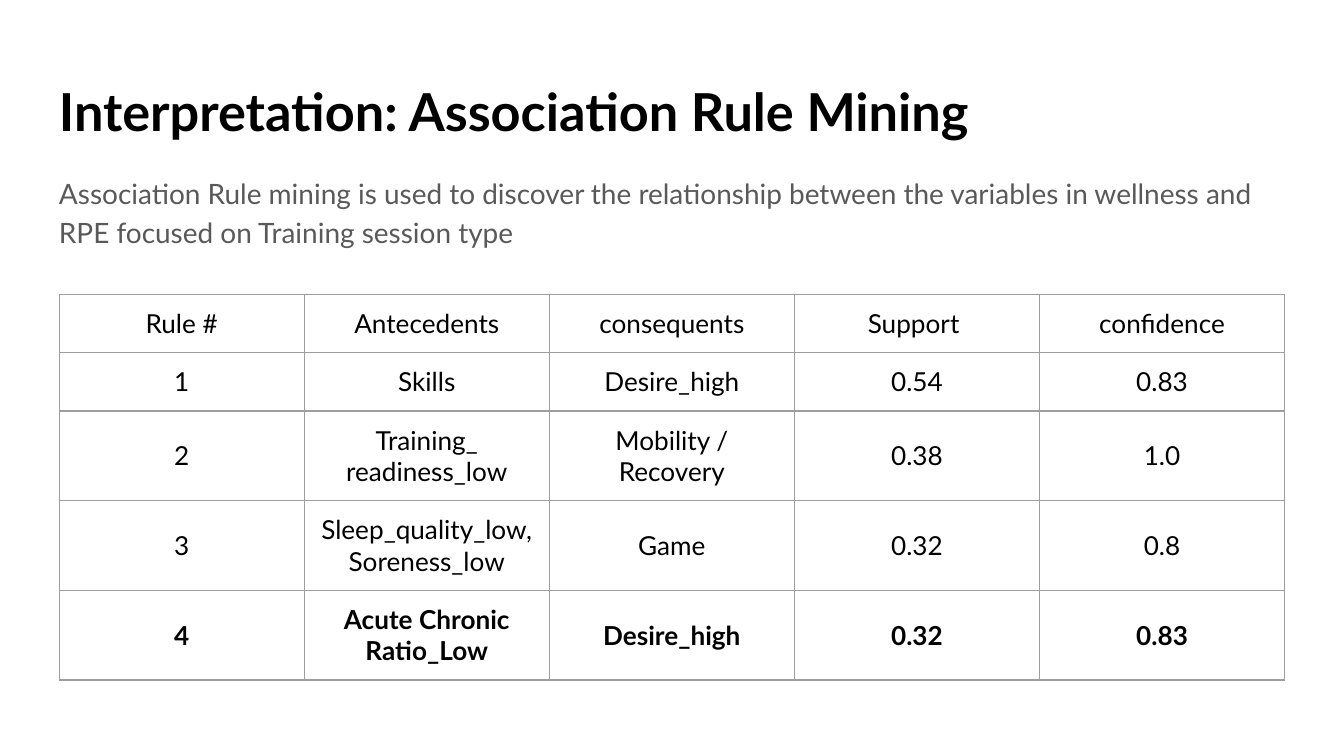
from lxml import etree
from pptx import Presentation
from pptx import util as u
from pptx.dml.color import RGBColor
from pptx.enum import text
from pptx.oxml import ns

BLACK = RGBColor(0x00, 0x00, 0x00)
GRAY = RGBColor(0x59, 0x59, 0x59)
BORDER = RGBColor(0x9E, 0x9E, 0x9E)
FONT = "Lato"
MARGIN = u.Inches(0.1)
SLIDE_WIDTH = 10
SLIDE_HEIGHT = SLIDE_WIDTH * 9 / 16

RULES = [
    ["Rule #", "Antecedents", "consequents", "Support ", "confidence"],
    ["1", "Skills", "Desire_high", "0.54", "0.83"],
    ["2", "Training_\nreadiness_low", "Mobility / Recovery", "0.38", "1.0"],
    ["3", "Sleep_quality_low,\nSoreness_low", "Game", "0.32", "0.8"],
    ["4", "Acute Chronic\nRatio_Low", "Desire_high", "0.32", "0.83"],
]
HIGHLIGHTED_RULE = "4"


def write_text(frame, content, size, color=BLACK, bold=False,
               align=text.PP_ALIGN.LEFT, line_spacing=1.0, space_after=0):
    frame.word_wrap = True
    frame.text = content
    for paragraph in frame.paragraphs:
        paragraph.alignment = align
        paragraph.line_spacing = line_spacing
        paragraph.space_after = u.Pt(space_after)
        for run in paragraph.runs:
            run.font.name = FONT
            run.font.size = u.Pt(size)
            run.font.bold = bold
            run.font.color.rgb = color


def set_margins(target):
    target.margin_left = target.margin_right = MARGIN
    target.margin_top = target.margin_bottom = MARGIN


def add_text_box(slide, content, left, top, width, height, **text_format):
    shape = slide.shapes.add_textbox(
        u.Inches(left), u.Inches(top), u.Inches(width), u.Inches(height))
    set_margins(shape.text_frame)
    write_text(shape.text_frame, content, **text_format)


def add_borders(cell):
    properties = cell._tc.get_or_add_tcPr()
    for side in ("a:lnL", "a:lnR", "a:lnT", "a:lnB"):
        line = etree.SubElement(properties, ns.qn(side), w=str(u.Pt(0.75)))
        fill = etree.SubElement(line, ns.qn("a:solidFill"))
        etree.SubElement(fill, ns.qn("a:srgbClr"), val=str(BORDER))


def add_rule_table(slide, rows, left, top, width, row_height):
    column_count = len(rows[0])
    table = slide.shapes.add_table(
        len(rows), column_count, u.Inches(left), u.Inches(top),
        u.Inches(width), u.Inches(row_height * len(rows))).table
    table.first_row = False
    table.horz_banding = False
    for column in table.columns:
        column.width = u.Inches(width / column_count)
    for row, values in zip(table.rows, rows):
        row.height = u.Inches(row_height)
        for cell, value in zip(row.cells, values):
            add_borders(cell)
            cell.fill.background()
            set_margins(cell)
            cell.vertical_anchor = text.MSO_ANCHOR.MIDDLE
            write_text(cell.text_frame, value, size=14,
                       bold=values[0] == HIGHLIGHTED_RULE,
                       align=text.PP_ALIGN.CENTER)


def main():
    presentation = Presentation()
    presentation.slide_width = u.Inches(SLIDE_WIDTH)
    presentation.slide_height = u.Inches(SLIDE_HEIGHT)
    slide = presentation.slides.add_slide(presentation.slide_layouts[6])
    add_text_box(slide, "Interpretation: Association Rule Mining",
                 0.34, 0.49, 9.32, 0.63, size=28, bold=True)
    add_text_box(slide, "Association Rule mining is used to discover the "
                 "relationship between the variables in wellness and RPE "
                 "focused on Training session type",
                 0.34, 1.18, 9.32, 3.74, size=15, color=GRAY,
                 line_spacing=1.15, space_after=16)
    add_rule_table(slide, RULES, 0.44, 2.19, 9.12, 0.42)
    presentation.save("out.pptx")


if __name__ == "__main__":
    main()
